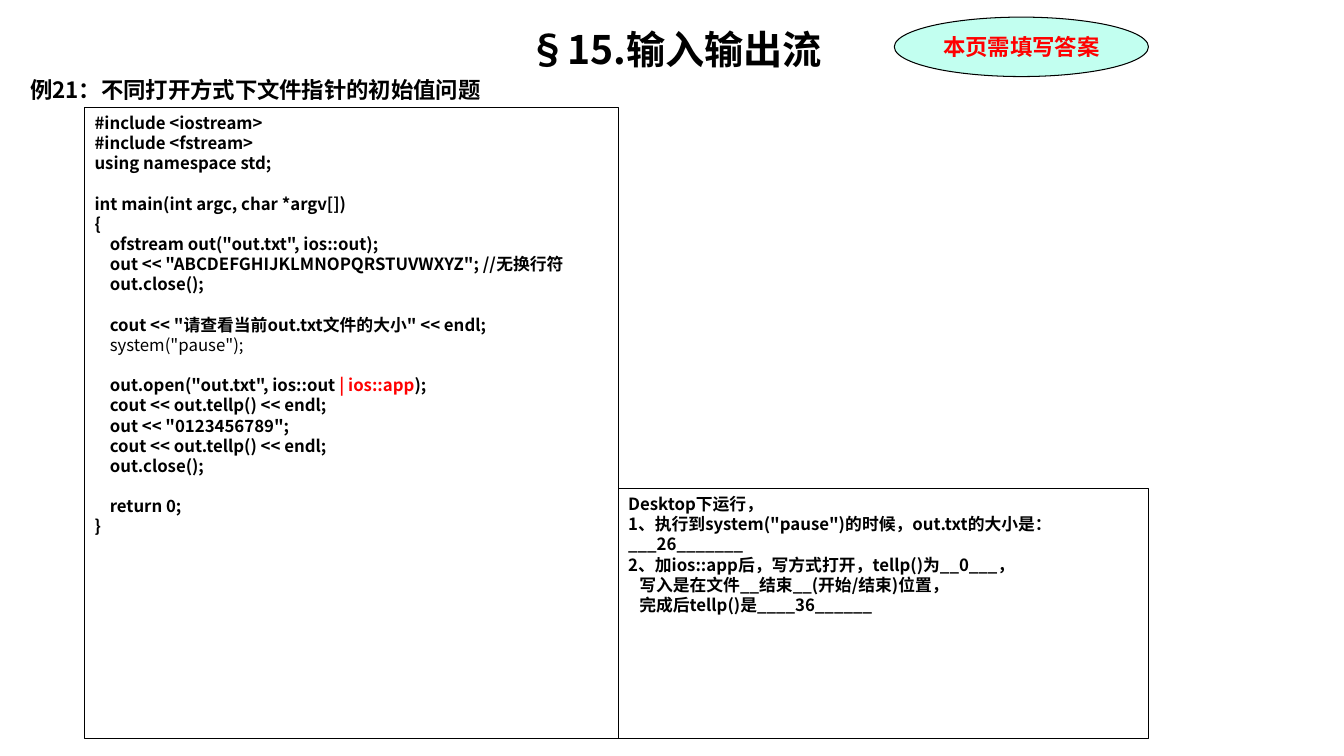
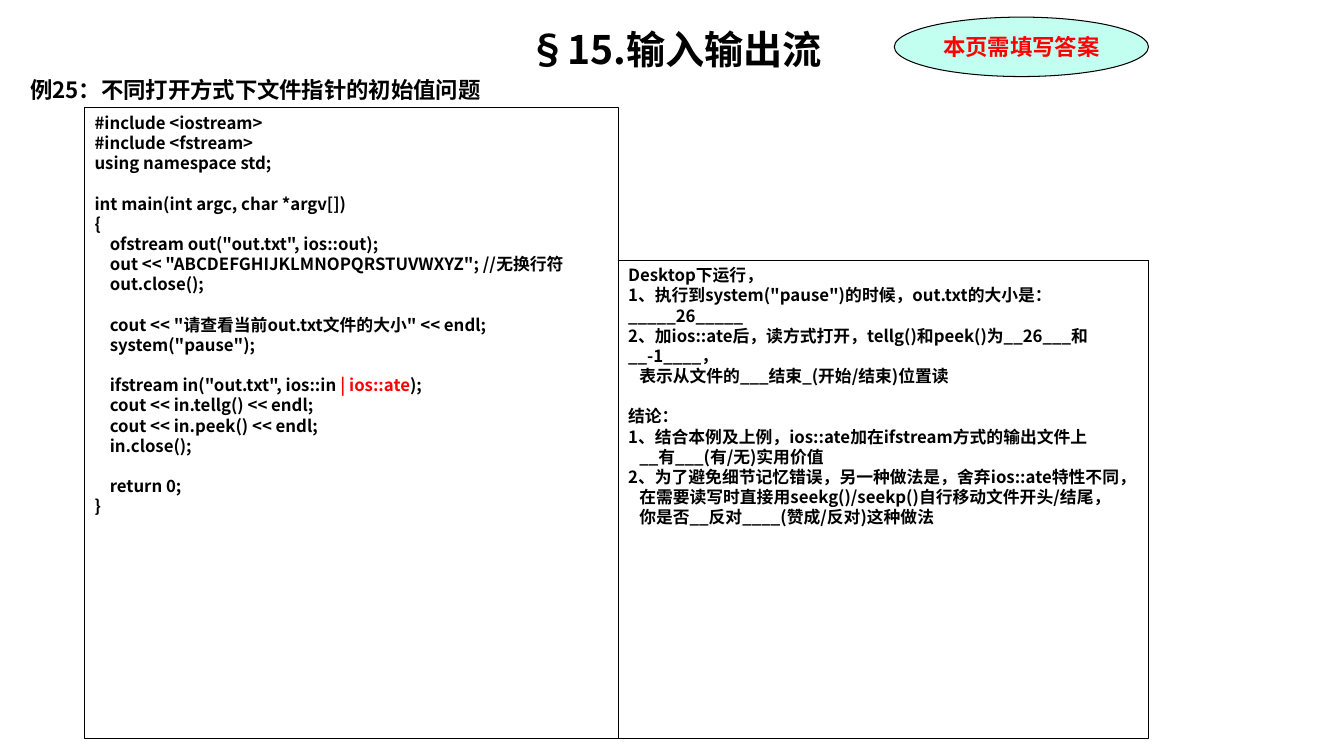
import dataclasses
import typing

import pptx
import pptx.dml.color
import pptx.enum.shapes
import pptx.enum.text
import pptx.oxml.ns
import pptx.util
from lxml import etree

WIDTH = pptx.util.Inches(13.33)
HEIGHT = pptx.util.Inches(7.5)
BLACK, RED, MINT = "000000", "FF0000", "C2FFF0"
SANS, SERIF = "Noto Sans CJK SC", "Times New Roman"
LINE_RATIO = 1.2
HANGING = pptx.util.Inches(0.11)
SHAPE = pptx.enum.shapes.MSO_SHAPE
ALIGN = pptx.enum.text.PP_ALIGN
ANCHOR = pptx.enum.text.MSO_ANCHOR

# Edges in percent of the slide's width (x) and height (y)
CODE_LEFT, SPLIT, RIGHT = 6.3, 46, 85.45
CODE_TOP, BOTTOM = 14.27, 97.73


@dataclasses.dataclass
class Area:
    """Edges in percent of the slide."""
    left: float
    top: float
    right: float
    bottom: float

    def emu(self) -> tuple[int, int, int, int]:
        return (int(WIDTH * self.left / 100), int(HEIGHT * self.top / 100),
                int(WIDTH * (self.right - self.left) / 100),
                int(HEIGHT * (self.bottom - self.top) / 100))


@dataclasses.dataclass
class Run:
    text: str
    color: str = BLACK
    bold: bool = True


@dataclasses.dataclass
class Line:
    runs: list[Run]
    size: float = 12
    before: float = 0
    align: typing.Any = ALIGN.LEFT
    indented: bool = False


@dataclasses.dataclass
class Example:
    number: int
    code: list[Line]
    answer_top: float
    answers: list[Line]


HEADING = Area(1.5, 2.67, 98.95, 97)
BADGE = Area(66.54, 2.27, RIGHT, 10.13)
CODE = Area(CODE_LEFT, CODE_TOP, SPLIT, BOTTOM)


def code_lines(*rows: str | list[Run]) -> list[Line]:
    """Turn source rows into lines; an empty row becomes space before the next."""
    lines, gap = [], 0.0
    for row in rows:
        if not row:
            gap += 12 * LINE_RATIO
            continue
        lines.append(Line([Run(row)] if isinstance(row, str) else row, before=gap))
        gap = 0.0
    return lines


def plain(text: str, before: float = 0) -> Line:
    return Line([Run(text)], before=before)


def inner(text: str) -> Line:
    return Line([Run(text)], indented=True)


def rgb(color: str) -> pptx.dml.color.RGBColor:
    return pptx.dml.color.RGBColor.from_string(color)


def style_run(r, run: Run, size: float, font: str) -> None:
    r.font.size = pptx.util.Pt(size)
    r.font.bold = run.bold
    r.font.color.rgb = rgb(run.color)
    r.font.name = font
    if font == SANS:
        latin = r.font._element.find(pptx.oxml.ns.qn("a:latin"))
        ea = etree.Element(pptx.oxml.ns.qn("a:ea"), typeface=font)
        latin.addnext(ea)


def write(tf, lines: list[Line], font: str = SANS) -> None:
    tf.word_wrap = True
    for i, line in enumerate(lines):
        p = tf.add_paragraph() if i else tf.paragraphs[0]
        p.alignment = line.align
        p.line_spacing = pptx.util.Pt(line.size * LINE_RATIO)
        if line.before:
            p.space_before = pptx.util.Pt(line.before)
        if line.indented:
            p._p.get_or_add_pPr().set("marL", str(HANGING))
        for run in line.runs:
            r = p.add_run()
            r.text = run.text
            style_run(r, run, line.size, font)


def add_box(s, kind, area: Area, lines: list[Line], font: str = SANS,
            fill: str | None = None, anchor=ANCHOR.TOP) -> None:
    sp = s.shapes.add_shape(kind, *area.emu())
    sp.shadow.inherit = False
    if fill:
        sp.fill.solid()
        sp.fill.fore_color.rgb = rgb(fill)
    else:
        sp.fill.background()
    sp.line.color.rgb = rgb(BLACK)
    sp.line.width = pptx.util.Pt(0.75)
    sp.text_frame.vertical_anchor = anchor
    write(sp.text_frame, lines, font)


def add_example(prs, example: Example) -> None:
    s = prs.slides.add_slide(prs.slide_layouts[6])
    write(s.shapes.add_textbox(*HEADING.emu()).text_frame, [
        Line([Run("§15.输入输出流")], 28, align=ALIGN.CENTER),
        Line([Run(f"例{example.number}：不同打开方式下文件指针的初始值问题")], 16, 2.5),
    ])
    add_box(s, SHAPE.OVAL, BADGE,
            [Line([Run("本页需填写答案", RED)], 16, align=ALIGN.CENTER)],
            SERIF, MINT, ANCHOR.MIDDLE)
    add_box(s, SHAPE.RECTANGLE, CODE, example.code)
    add_box(s, SHAPE.RECTANGLE, Area(SPLIT, example.answer_top, RIGHT, BOTTOM),
            example.answers)


PROLOGUE = (
    "#include <iostream>",
    "#include <fstream>",
    "using namespace std;",
    "",
    "int main(int argc, char *argv[])",
    "{",
    '    ofstream out("out.txt", ios::out);',
    '    out << "ABCDEFGHIJKLMNOPQRSTUVWXYZ"; //无换行符',
    "    out.close();",
    "",
    '    cout << "请查看当前out.txt文件的大小" << endl;',
)
EPILOGUE = ("", "    return 0;", "}")

EXAMPLES = [
    Example(
        21,
        code_lines(
            *PROLOGUE,
            [Run("    "), Run('system("pause");', bold=False)],
            "",
            [Run('    out.open("out.txt", ios::out'), Run(" | ios::app", RED), Run(");")],
            "    cout << out.tellp() << endl;",
            '    out << "0123456789";',
            "    cout << out.tellp() << endl;",
            "    out.close();",
            *EPILOGUE,
        ),
        64.67,
        [
            plain("Desktop下运行，"),
            plain('1、执行到system("pause")的时候，out.txt的大小是：___26_______'),
            plain("2、加ios::app后，写方式打开，tellp()为__0___，"),
            inner("写入是在文件__结束__(开始/结束)位置，"),
            inner("完成后tellp()是____36______"),
        ],
    ),
    Example(
        25,
        code_lines(
            *PROLOGUE,
            '    system("pause");',
            "",
            [Run('    ifstream in("out.txt", ios::in'), Run(" | ios::ate", RED), Run(");")],
            "    cout << in.tellg() << endl;",
            "    cout << in.peek() << endl;",
            "    in.close();",
            *EPILOGUE,
        ),
        34.4,
        [
            plain("Desktop下运行，"),
            plain('1、执行到system("pause")的时候，out.txt的大小是：_____26_____'),
            plain("2、加ios::ate后，读方式打开，tellg()和peek()为__26___和__-1____，"),
            inner("表示从文件的___结束_(开始/结束)位置读"),
            plain("结论：", before=12 * LINE_RATIO),
            plain("1、结合本例及上例，ios::ate加在ifstream方式的输出文件上"),
            inner("__有___(有/无)实用价值"),
            plain("2、为了避免细节记忆错误，另一种做法是，舍弃ios::ate特性不同，"),
            inner("在需要读写时直接用seekg()/seekp()自行移动文件开头/结尾，"),
            inner("你是否__反对____(赞成/反对)这种做法"),
        ],
    ),
]


def main() -> None:
    prs = pptx.Presentation()
    prs.slide_width, prs.slide_height = WIDTH, HEIGHT
    for example in EXAMPLES:
        add_example(prs, example)
    prs.save("out.pptx")


if __name__ == "__main__":
    main()
